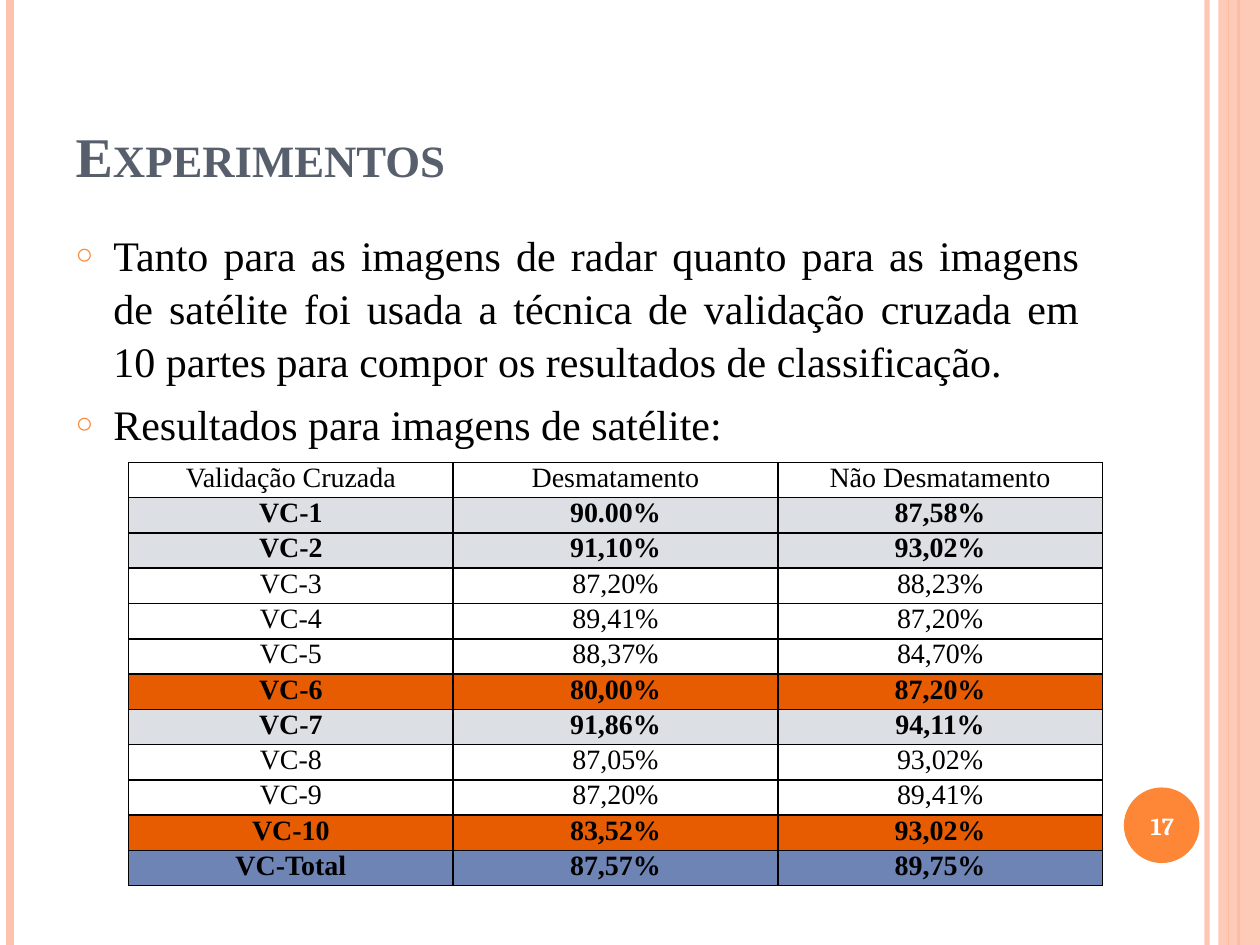
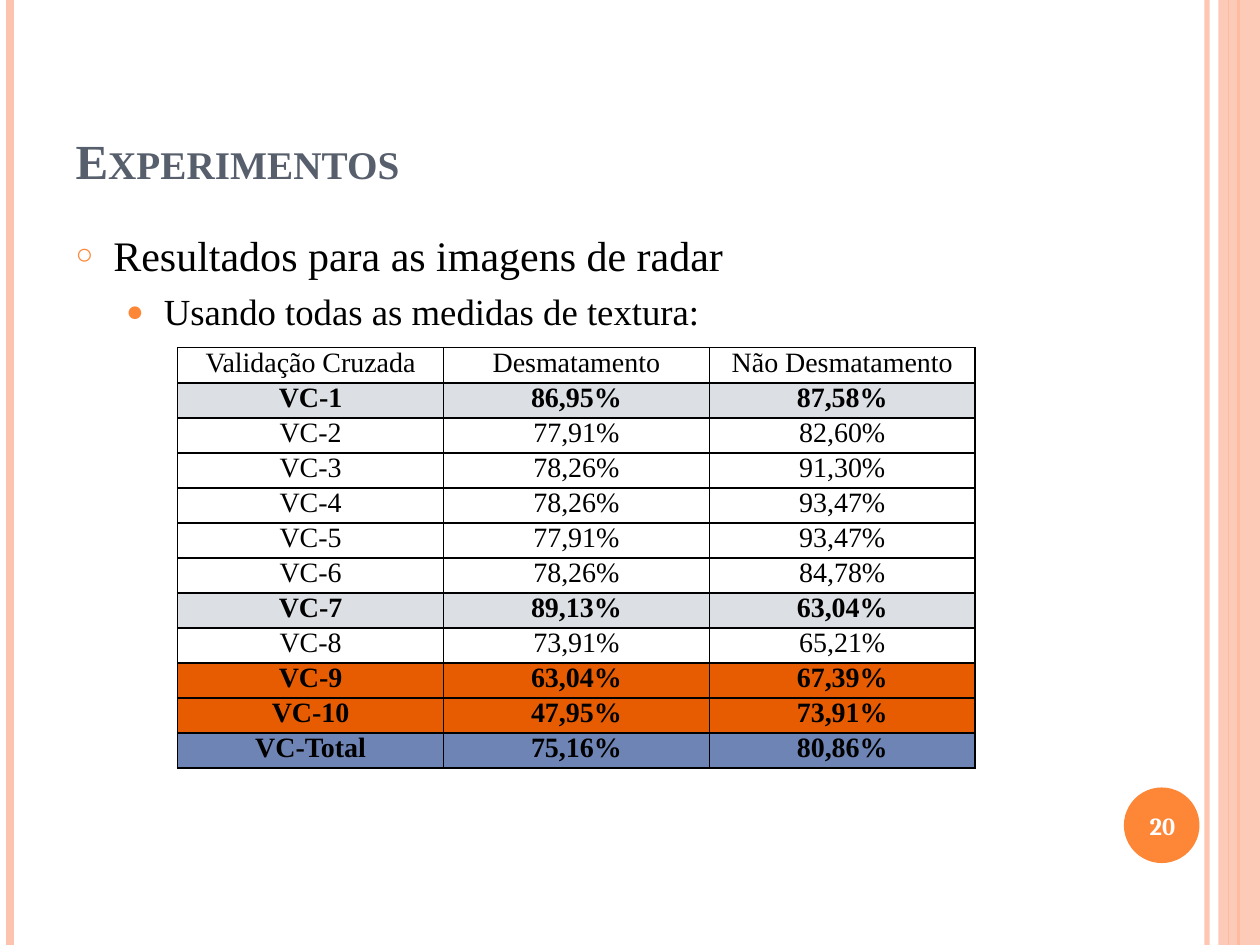
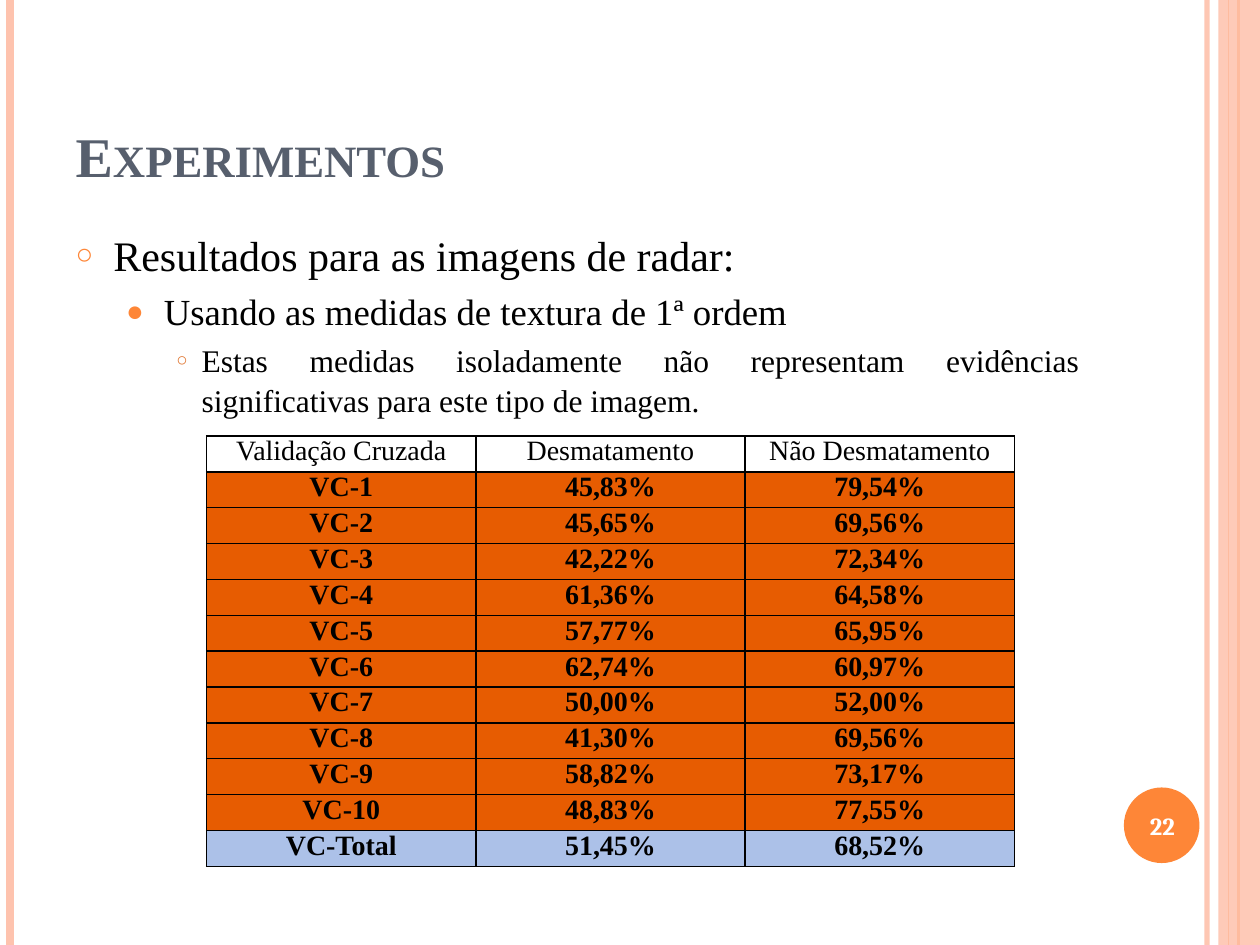
"""Builds three slides with cross-validation results for deforestation images."""
import pptx
import pptx.dml.color
import pptx.enum.shapes
import pptx.enum.text
import pptx.oxml
import pptx.oxml.ns
import pptx.util
import lxml.etree

Inches = pptx.util.Inches
Pt = pptx.util.Pt
RGBColor = pptx.dml.color.RGBColor
qn = pptx.oxml.ns.qn
Align = pptx.enum.text.PP_ALIGN
Anchor = pptx.enum.text.MSO_ANCHOR
Shape = pptx.enum.shapes.MSO_SHAPE

PEACH = RGBColor(0xFE, 0xC3, 0xAE)
ORANGE = RGBColor(0xFE, 0x86, 0x37)
DARK_ORANGE = RGBColor(0xE0, 0x76, 0x31)
SLATE = RGBColor(0x57, 0x5F, 0x6D)
BLACK = RGBColor(0x00, 0x00, 0x00)
WHITE = RGBColor(0xFF, 0xFF, 0xFF)
BEST = RGBColor(0xDC, 0xDF, 0xE3)
WORST = RGBColor(0xE7, 0x5C, 0x01)
TOTAL = RGBColor(0x6E, 0x84, 0xB4)
LIGHT_TOTAL = RGBColor(0xAC, 0xC1, 0xE8)

TEXT_FONT = "Times New Roman"
NUMBER_FONT = "Cambria"

BAND_LINES = [
    (9.58, PEACH, 3, 93),
    (0.08, PEACH, 4.5, 100),
    (9.83, ORANGE, 1.5, 100),
    (9.75, ORANGE, 0.75, 100),
]

# level: margin, hanging indent, bullet, bullet colour, bullet percent, text size, space before
LEVELS = [
    (0.3, 0.3, "○", ORANGE, 70, 24, 6),
    (0.7, 0.3, "●", ORANGE, 80, 21, 4.2),
    (1.0, 0.2, "○", DARK_ORANGE, 60, 18, 3.6),
]

HEADER = ["Validação Cruzada", "Desmatamento", "Não Desmatamento"]
FOLDS = [f"VC-{number}" for number in range(1, 11)] + ["VC-Total"]

SLIDES = [
    {
        "number": "17",
        "title_size": 32,
        "items": [
            (0, Align.JUSTIFY, "Tanto para as imagens de radar quanto para as imagens de satélite foi "
             "usada a técnica de validação cruzada em 10 partes para compor os resultados de classificação."),
            (0, Align.JUSTIFY, "Resultados para imagens de satélite:"),
        ],
        "table_box": (1.02, 3.67, 7.73, 3.36),
        "deforested": "90.00% 91,10% 87,20% 89,41% 88,37% 80,00% 91,86% 87,05% 87,20% 83,52% 87,57%",
        "preserved": "87,58% 93,02% 88,23% 87,20% 84,70% 87,20% 94,11% 93,02% 89,41% 93,02% 89,75%",
        "row_fills": {1: BEST, 2: BEST, 6: WORST, 7: BEST, 10: WORST, 11: TOTAL},
    },
    {
        "number": "20",
        "title_size": 28,
        "items": [
            (0, Align.LEFT, "Resultados para as imagens de radar"),
            (1, Align.LEFT, "Usando todas as medidas de textura:"),
        ],
        "table_box": (1.41, 2.76, 6.33, 3.34),
        "deforested": "86,95% 77,91% 78,26% 78,26% 77,91% 78,26% 89,13% 73,91% 63,04% 47,95% 75,16%",
        "preserved": "87,58% 82,60% 91,30% 93,47% 93,47% 84,78% 63,04% 65,21% 67,39% 73,91% 80,86%",
        "row_fills": {1: BEST, 7: BEST, 9: WORST, 10: WORST, 11: TOTAL},
    },
    {
        "number": "22",
        "title_size": 32,
        "items": [
            (0, Align.JUSTIFY, "Resultados para as imagens de radar:"),
            (1, Align.LEFT, "Usando as medidas de textura de 1ª ordem"),
            (2, Align.JUSTIFY, "Estas medidas isoladamente não representam evidências significativas "
             "para este tipo de imagem."),
        ],
        "table_box": (1.64, 3.46, 6.41, 3.42),
        "deforested": "45,83% 45,65% 42,22% 61,36% 57,77% 62,74% 50,00% 41,30% 58,82% 48,83% 51,45%",
        "preserved": "79,54% 69,56% 72,34% 64,58% 65,95% 60,97% 52,00% 69,56% 73,17% 77,55% 68,52%",
        "row_fills": {**dict.fromkeys(range(1, 11), WORST), 11: LIGHT_TOTAL},
    },
]


def add_run(paragraph, text, size, color, bold=False, font_name=TEXT_FONT):
    run = paragraph.add_run()
    run.text = text
    run.font.name = font_name
    run.font.size = Pt(size)
    run.font.bold = bold
    run.font.color.rgb = color
    return run


def add_element(parent, tag, **attributes):
    element = lxml.etree.SubElement(parent, qn(tag))
    for name, value in attributes.items():
        element.set(name, str(value))
    return element


presentation = pptx.Presentation()
presentation.slide_width = Inches(10)
presentation.slide_height = Inches(7.5)

for content in SLIDES:
    slide = presentation.slides.add_slide(presentation.slide_layouts[1])
    slide.background.fill.solid()
    slide.background.fill.fore_color.rgb = WHITE

    for x, color, width, opacity in BAND_LINES:
        line = slide.shapes.add_connector(
            pptx.enum.shapes.MSO_CONNECTOR.STRAIGHT, Inches(x), 0, Inches(x), Inches(7.5))
        line.line.color.rgb = color
        line.line.width = Pt(width)
        if opacity < 100:
            add_element(next(line._element.spPr.iter(qn("a:srgbClr"))), "a:alpha", val=opacity * 1000)
        add_element(line._element.spPr, "a:effectLst")

    band = slide.shapes.add_shape(Shape.RECTANGLE, Inches(9.67), 0, Inches(0.33), Inches(7.5))
    badge = slide.shapes.add_shape(Shape.OVAL, Inches(8.92), Inches(6.25), Inches(0.6), Inches(0.6))
    for shape, color in ((band, PEACH), (badge, ORANGE)):
        shape.shadow.inherit = False
        shape.fill.solid()
        shape.fill.fore_color.rgb = color
        shape.line.fill.background()
    add_element(next(band._element.spPr.iter(qn("a:srgbClr"))), "a:alpha", val=87000)

    title = slide.shapes.title
    title.left, title.top, title.width, title.height = map(Inches, (0.5, 0.3, 8.17, 1.25))
    title.text_frame.auto_size = pptx.enum.text.MSO_AUTO_SIZE.NONE
    title.text_frame.vertical_anchor = Anchor.BOTTOM
    paragraph = title.text_frame.paragraphs[0]
    paragraph.alignment = Align.LEFT
    run = add_run(paragraph, "Experimentos", content["title_size"], SLATE, bold=True)
    run.font._element.set("cap", "small")

    body = slide.placeholders[1]
    body.left, body.top, body.width, body.height = map(Inches, (0.5, 1.75, 8.17, 5.33))
    body.text_frame.auto_size = pptx.enum.text.MSO_AUTO_SIZE.NONE
    for index, (level, alignment, text) in enumerate(content["items"]):
        margin, hanging, bullet, bullet_color, bullet_percent, size, space_before = LEVELS[level]
        paragraph = body.text_frame.add_paragraph() if index else body.text_frame.paragraphs[0]
        properties = paragraph._element.get_or_add_pPr()
        properties.set("marL", str(Inches(margin)))
        properties.set("indent", str(-Inches(hanging)))
        add_element(add_element(properties, "a:buClr"), "a:srgbClr", val=bullet_color)
        add_element(properties, "a:buSzPct", val=bullet_percent * 1000)
        add_element(properties, "a:buChar", char=bullet)
        paragraph.level = level
        paragraph.alignment = alignment
        paragraph.line_spacing = 1.05
        paragraph.space_before = Pt(space_before if index else 0)
        add_run(paragraph, text, size, BLACK)

    rows = [HEADER, *zip(FOLDS, content["deforested"].split(), content["preserved"].split())]
    left, top, width, height = map(Inches, content["table_box"])
    table = slide.shapes.add_table(len(rows), len(HEADER), left, top, width, height).table
    table.first_row = False
    table.horz_banding = False
    for column in table.columns:
        column.width = width // len(HEADER)
    for row_index, values in enumerate(rows):
        table.rows[row_index].height = height // len(rows)
        fill_color = content["row_fills"].get(row_index)
        for column_index, value in enumerate(values):
            cell = table.cell(row_index, column_index)
            cell.margin_left = cell.margin_right = Inches(0.07)
            cell.margin_top = cell.margin_bottom = 0
            for side in ("a:lnL", "a:lnR", "a:lnT", "a:lnB"):
                border = add_element(cell._tc.get_or_add_tcPr(), side, w=Pt(1))
                add_element(add_element(border, "a:solidFill"), "a:srgbClr", val=BLACK)
            if fill_color is None:
                cell.fill.background()
            else:
                cell.fill.solid()
                cell.fill.fore_color.rgb = fill_color
            paragraph = cell.text_frame.paragraphs[0]
            paragraph.alignment = Align.CENTER
            add_run(paragraph, value, 16, BLACK, bold=fill_color is not None)

    number_box = slide.shapes.add_textbox(Inches(8.89), Inches(6.27), Inches(0.67), Inches(0.57))
    number_box.text_frame.word_wrap = True
    number_box.text_frame.vertical_anchor = Anchor.MIDDLE
    paragraph = number_box.text_frame.paragraphs[0]
    paragraph.alignment = Align.CENTER
    add_run(paragraph, content["number"], 14, WHITE, bold=True, font_name=NUMBER_FONT)

presentation.save("out.pptx")
